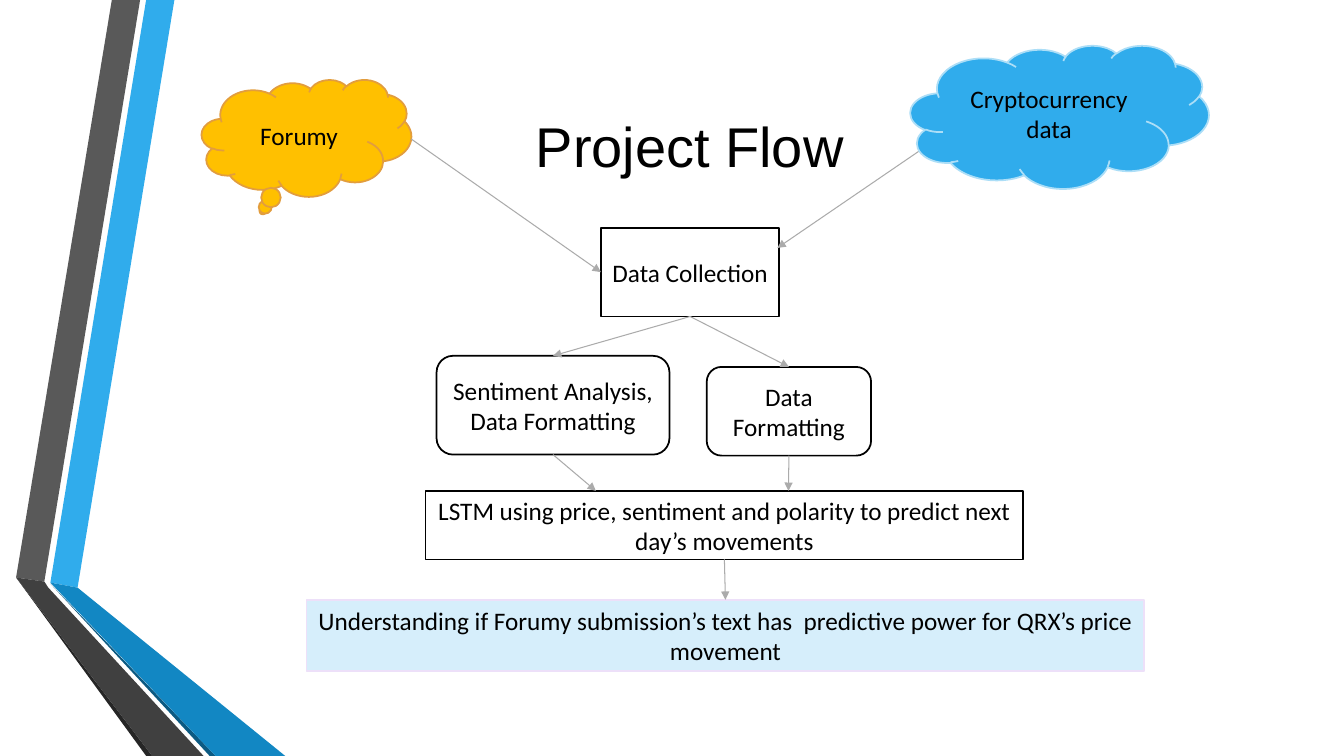
from pptx import Presentation
from pptx.dml.color import RGBColor
from pptx.enum.shapes import MSO_CONNECTOR as Link, MSO_SHAPE as Kind
from pptx.enum.text import MSO_ANCHOR as Anchor, PP_ALIGN as Align
from pptx.oxml.ns import qn
from pptx.util import Inches, Pt
from lxml.etree import SubElement

BLACK = RGBColor(0x00, 0x00, 0x00)
WHITE = RGBColor(0xFF, 0xFF, 0xFF)
GOLD = RGBColor(0xFF, 0xC0, 0x00)
AMBER = RGBColor(0xE2, 0x9D, 0x3E)
BLUE = RGBColor(0x30, 0xAC, 0xEC)
PALE = RGBColor(0xAC, 0xDE, 0xF7)
ICE = RGBColor(0xD6, 0xEE, 0xFB)
LILAC = RGBColor(0xED, 0xE0, 0xF9)
GREY = RGBColor(0xAB, 0xAB, 0xAB)
SLATE = RGBColor(0x59, 0x59, 0x59)
COAL = RGBColor(0x26, 0x26, 0x26)
NAVY = RGBColor(0x0C, 0x5A, 0x82)
OCEAN = RGBColor(0x12, 0x87, 0xC3)
DARK = RGBColor(0x40, 0x40, 0x40)

TOP, LEFT, BOTTOM, RIGHT = range(4)

RIBBONS = [
    (BLUE, [(0.5, 5.78), (0.77, 5.83), (1.73, 0), (1.45, 0)]),
    (SLATE, [(1.39, 0), (1.11, 0), (0.16, 5.73), (0.44, 5.77)]),
    (COAL, [(0.16, 5.73), (1.45, 7.5), (1.51, 7.5)]),
    (NAVY, [(0.5, 5.79), (2.08, 7.5), (2.14, 7.5)]),
    (OCEAN, [(0.5, 5.78), (2.14, 7.5), (2.83, 7.5), (0.77, 5.83)]),
    (DARK, [(2.02, 7.5), (0.48, 5.83), (0.44, 5.77), (0.16, 5.73), (1.51, 7.5)]),
]


class Flow:
    def __init__(self, slide):
        self.slide = slide
        self.shapes = slide.shapes
        self.body = "Calibri"
        self.head = "Arial"

    def label(self, shape, text, font, size):
        frame = shape.text_frame
        frame.word_wrap = True
        frame.vertical_anchor = Anchor.MIDDLE
        line = frame.paragraphs[0]
        line.alignment = Align.CENTER
        run = line.add_run()
        run.text = text
        run.font.name = font
        run.font.size = Pt(size)
        run.font.color.rgb = BLACK

    def title(self, text, *area):
        shape = self.shapes.title
        shape.left, shape.top, shape.width, shape.height = map(Inches, area)
        self.label(shape, text, self.head, 40)

    def ribbon(self, fill, points):
        spots = [(Inches(x), Inches(y)) for x, y in points]
        pen = self.shapes.build_freeform(*spots[0])
        pen.add_line_segments(spots[1:], close=True)
        shape = pen.convert_to_shape()
        shape.shadow.inherit = False
        shape.fill.solid()
        shape.fill.fore_color.rgb = fill
        shape.line.fill.background()

    def node(self, kind, text, area, fill=WHITE, edge=BLACK):
        shape = self.shapes.add_shape(kind, *map(Inches, area))
        shape.shadow.inherit = False
        shape.fill.solid()
        shape.fill.fore_color.rgb = fill
        shape.line.color.rgb = edge
        shape.line.width = Pt(1.25)
        self.label(shape, text, self.body, 18)
        return shape

    def arrow(self, start, end, tail=None, tip=None):
        link = self.shapes.add_connector(
            Link.STRAIGHT, *map(Inches, start + end))
        if tail:
            link.begin_connect(*tail)
        if tip:
            link.end_connect(*tip)
        link.line.color.rgb = GREY
        link.line.width = Pt(0.75)
        props = link._element.spPr
        SubElement(props.find(qn("a:ln")), qn("a:tailEnd"), type="triangle")
        SubElement(props, qn("a:effectLst"))


def main():
    deck = Presentation()
    deck.slide_width, deck.slide_height = Inches(13.33), Inches(7.5)
    flow = Flow(deck.slides.add_slide(deck.slide_layouts[5]))

    for fill, points in RIBBONS:
        flow.ribbon(fill, points)
    flow.title("Project Flow", 1.59, 0.86, 10.5, 1.15)

    flow.node(Kind.CLOUD_CALLOUT, "Forumy", (2, 0.79, 2.08, 1.16), GOLD, AMBER)
    data = flow.node(Kind.RECTANGLE, "Data Collection", (5.96, 2.26, 1.77, 0.88))
    mood = flow.node(Kind.ROUNDED_RECTANGLE, "Sentiment Analysis, Data Formatting",
                     (4.33, 3.53, 2.31, 0.98))
    form = flow.node(Kind.ROUNDED_RECTANGLE, "Data Formatting",
                     (7.01, 3.64, 1.63, 0.88))
    model = flow.node(
        Kind.RECTANGLE,
        "LSTM using price, sentiment and polarity to predict next day’s movements",
        (4.22, 4.87, 5.93, 0.68))
    goal = flow.node(
        Kind.RECTANGLE,
        "Understanding if Forumy submission’s text has  predictive power "
        "for QRX’s price movement",
        (3.04, 5.95, 8.31, 0.71), ICE, LILAC)

    flow.arrow((4.08, 1.38), (5.96, 2.7), tip=(data, LEFT))
    flow.arrow((9.29, 1.38), (7.71, 2.46))
    flow.arrow((6.84, 3.14), (5.48, 3.53), (data, BOTTOM), (mood, TOP))
    flow.arrow((6.84, 3.14), (7.82, 3.64), (data, BOTTOM), (form, TOP))
    flow.arrow((5.48, 4.51), (5.91, 4.87), tail=(mood, BOTTOM))
    flow.arrow((7.82, 4.52), (7.82, 4.87), tail=(form, BOTTOM))
    flow.arrow((7.19, 5.55), (7.19, 5.95), (model, BOTTOM), (goal, TOP))
    flow.node(Kind.CLOUD, "Cryptocurrency data", (9.03, 0.45, 2.96, 1.42), BLUE, PALE)

    deck.save("out.pptx")


if __name__ == "__main__":
    main()
